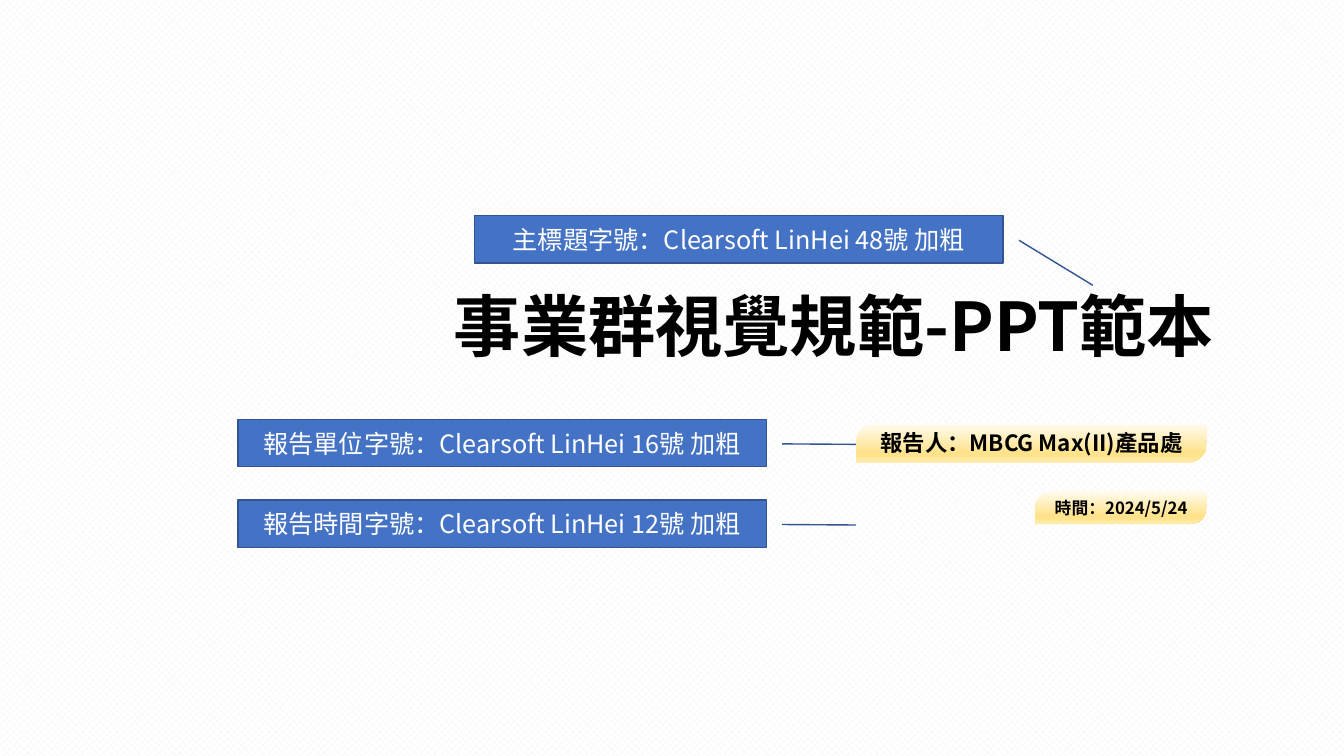
from lxml import etree
from pptx import Presentation
from pptx.dml.color import RGBColor
from pptx.enum.dml import MSO_PATTERN
from pptx.enum.shapes import MSO_SHAPE
from pptx.enum.text import MSO_ANCHOR, MSO_AUTO_SIZE, PP_ALIGN
from pptx.oxml.ns import qn
from pptx.util import Inches, Pt

FONT = "Noto Sans CJK SC"
GOLD_STOPS = [(0, "FFFCF2"), (74, "FFE38C"), (83, "FFE38C"), (100, "FFECB2")]


def rgb(color):
    return RGBColor.from_string(color)


def write_text(shape, text, size, color, bold, align):
    paragraph = shape.text_frame.paragraphs[0]
    paragraph.text = text
    paragraph.alignment = align
    font = paragraph.font
    font.size = Pt(size)
    font.bold = bold
    font.color.rgb = rgb(color)
    font.name = FONT
    properties = paragraph._p.pPr.find(qn("a:defRPr"))
    etree.SubElement(properties, qn("a:ea"), typeface=FONT)


def fill_gold(shape):
    shape.fill.gradient()
    shape.fill.gradient_angle = 270
    stops = shape._element.spPr.find(qn("a:gradFill")).find(qn("a:gsLst"))
    for stop in list(stops):
        stops.remove(stop)
    for position, color in GOLD_STOPS:
        stop = etree.SubElement(stops, qn("a:gs"), pos=str(position * 1000))
        etree.SubElement(stop, qn("a:srgbClr"), val=color)


def add_block(slide, kind, box, adjustments):
    shape = slide.shapes.add_shape(kind, *map(Inches, box))
    shape.shadow.inherit = False
    for index, value in enumerate(adjustments):
        shape.adjustments[index] = value
    shape.text_frame.vertical_anchor = MSO_ANCHOR.MIDDLE
    shape.text_frame.word_wrap = False
    return shape


def add_badge(slide, box, text, size):
    badge = add_block(slide, MSO_SHAPE.ROUND_2_DIAG_RECTANGLE, box, (0.5, 0))
    fill_gold(badge)
    badge.line.fill.background()
    write_text(badge, text, size, "000000", True, PP_ALIGN.CENTER)


def add_title(slide, box, text):
    title = slide.shapes.add_textbox(*map(Inches, box))
    title.text_frame.word_wrap = True
    title.text_frame.auto_size = MSO_AUTO_SIZE.SHAPE_TO_FIT_TEXT
    write_text(title, text, 48, "000000", True, PP_ALIGN.RIGHT)


def add_callout(slide, left, top, text, tip_y, tip_x):
    callout = add_block(slide, MSO_SHAPE.LINE_CALLOUT_1, (left, top, 5.24, 0.47),
                        (0.52, -0.03, tip_y, tip_x))
    callout._element.spPr.find(qn("a:xfrm")).set("flipH", "1")
    callout.fill.solid()
    callout.fill.fore_color.rgb = rgb("4472C4")
    callout.line.color.rgb = rgb("325491")
    callout.line.width = Pt(1)
    write_text(callout, text, 18, "FFFFFF", False, PP_ALIGN.CENTER)


def build_cover(slide):
    background = slide.background.fill
    background.patterned()
    background.pattern = MSO_PATTERN.PERCENT_50
    background.fore_color.rgb = rgb("F2F2F2")
    background.back_color.rgb = rgb("FFFFFF")

    add_badge(slide, (10.27, 4.87, 1.7, 0.33), "時間：2024/5/24", 12)
    add_badge(slide, (8.49, 4.2, 3.48, 0.39), "報告人：MBCG Max(II)產品處", 16)
    add_title(slide, (0, 2.77, 12.14, 0.91), "事業群視覺規範-PPT範本")
    for left, top, subject, size, tip_y in [
        (4.71, 2.14, "主標題", 48, 1.47),
        (2.36, 4.16, "報告單位", 16, 0.53),
        (2.36, 4.96, "報告時間", 12, 0.53),
    ]:
        text = f"{subject}字號：Clearsoft LinHei {size}號 加粗"
        add_callout(slide, left, top, text, tip_y, -0.17)


def main():
    presentation = Presentation()
    presentation.slide_width = Inches(13.33)
    presentation.slide_height = Inches(7.5)
    build_cover(presentation.slides.add_slide(presentation.slide_layouts[6]))
    presentation.save("out.pptx")


if __name__ == "__main__":
    main()
